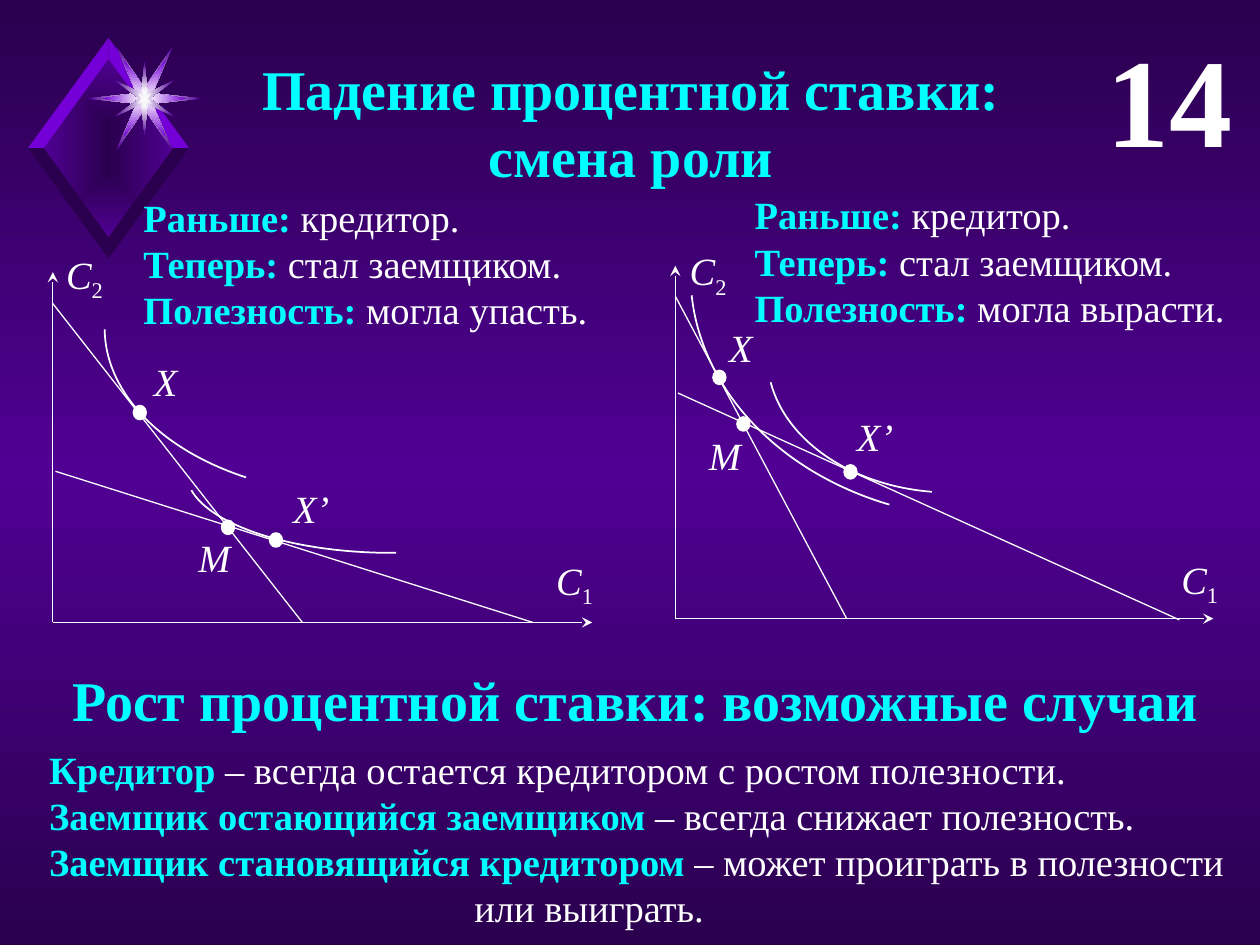
from lxml import etree
from pptx import Presentation
from pptx.dml.color import RGBColor
from pptx.enum.shapes import MSO_CONNECTOR as CONN, MSO_SHAPE as SHAPE
from pptx.enum.text import MSO_ANCHOR as ANCHOR, MSO_AUTO_SIZE as FIT, PP_ALIGN as ALIGN
from pptx.oxml import parse_xml
from pptx.oxml.ns import nsdecls, qn
from pptx.util import Pt

rgb = RGBColor.from_string
CYAN, WHITE = "00FFFF", "FFFFFF"
DARK, MID, BRIGHT = "2A004E", "500093", "7500D7"


def write(frame, paras, size, align=ALIGN.LEFT, inset=None):
    """Fill a frame; each paragraph lists (text, colour, style), style of b, i, _ (subscript)."""
    frame.word_wrap = True
    frame.auto_size = FIT.NONE
    frame.vertical_anchor = ANCHOR.TOP
    if inset is not None:
        frame.margin_left = frame.margin_right = Pt(inset)
        frame.margin_top = frame.margin_bottom = Pt(inset)
    for n, runs in enumerate(paras):
        para = frame.add_paragraph() if n else frame.paragraphs[0]
        para.alignment = align
        para.space_before = Pt(0)
        for words, hue, style in runs:
            run = para.add_run()
            run.text = words
            font = run.font
            font.name, font.size = "Times New Roman", Pt(size)
            font.color.rgb = rgb(hue)
            font.bold, font.italic = "b" in style, "i" in style
            if "_" in style:
                run._r.get_or_add_rPr().set("baseline", "-25000")


def blend(stops, shade):
    """Return a gradient fill element with evenly spaced stops."""
    step = 100000 // (len(stops) - 1)
    marks = "".join(f'<a:gs pos="{n * step}"><a:srgbClr val="{hue}"/></a:gs>'
                    for n, hue in enumerate(stops))
    return parse_xml(f'<a:gradFill {nsdecls("a")} rotWithShape="1">'
                     f"<a:gsLst>{marks}</a:gsLst>{shade}</a:gradFill>")


prs = Presentation()
prs.slide_width, prs.slide_height = Pt(720), Pt(540)
slide = prs.slides.add_slide(prs.slide_layouts[1])
shapes = slide.shapes

# Background
back = slide.background.fill
back.solid()
back.fore_color.rgb = rgb(DARK)
solid = slide._element.find(".//" + qn("a:solidFill"))
solid.getparent().replace(solid, blend([DARK, MID, DARK], '<a:lin ang="5400000" scaled="1"/>'))

# Diamond and star: centre, outline, fill stops
gem, spark = (62, 84.6), (82.6, 56.3)
parts = [(gem, [(0, -51), (-37.4, 0), (0, 51), (37.4, 0)], [DARK, MID])]
for sy, hue in [(-1, BRIGHT), (1, DARK)]:
    for sx in (1, -1):
        facet = [(0, sy * 51), (0, sy * 63), (sx * 46, 0), (sx * 37, 0)]
        parts.append((gem, facet, [hue]))
rays = [
    ([(0, -6), (16, -29.6), (4.6, -3), (32.6, 0)], [WHITE, MID]),
    ([(0, -6), (12, -22), (4.6, -3), (24, 0)], [WHITE, BRIGHT]),
    ([(0, -21), (1.8, -3), (17, -10.4), (3, 0)], [WHITE, MID]),
    ([(0, -5), (0.7, -1.5), (4, -3), (1.5, 0)], ["F9F9F9"]),
]
for arm, hues in rays:
    star = (arm + [(x, -y) for x, y in arm[-2::-1]]
            + [(-x, -y) for x, y in arm[1:]] + [(-x, y) for x, y in arm[-2:0:-1]])
    parts.append((spark, star, hues))
for (cx, cy), dots, hues in parts:
    ends = [(Pt(cx + x), Pt(cy + y)) for x, y in dots]
    pen = shapes.build_freeform(*ends[0], scale=1.0)
    pen.add_line_segments(ends[1:], close=True)
    part = pen.convert_to_shape()
    part.shadow.inherit = False
    part.line.fill.background()
    part.fill.solid()
    part.fill.fore_color.rgb = rgb(hues[0])
    if len(hues) > 1:
        solid = part._element.spPr.find(qn("a:solidFill"))
        centre = '<a:path path="rect"><a:fillToRect l="50000" t="50000" r="50000" b="50000"/></a:path>'
        part._element.spPr.replace(solid, blend(hues, centre))

# Title and number
title = shapes.title
title.left, title.top, title.width, title.height = Pt(14.4), Pt(27.4), Pt(692.6), Pt(85)
write(title.text_frame, [[("Падение процентной ставки:", CYAN, "b")],
                         [("смена роли", CYAN, "b")]], 32, ALIGN.CENTER)
box = shapes.add_textbox(Pt(621.4), Pt(8.6), Pt(90), Pt(94.3))
write(box.text_frame, [[("14", WHITE, "b")]], 72, ALIGN.RIGHT)

# Diagrams: axes and budget lines (x1, y1, x2, y2), curves (box, angles),
# points (left, top), labels (text, subscript, left, top, width)
graphs = [
    dict(axes=[(30.2, 355.7, 30.2, 155.5), (30.2, 355.7, 338.4, 355.7)],
         lines=[(30.2, 173.5, 172.8, 355.7), (31.7, 269.3, 304.6, 355.7)],
         curves=[(106.6, 224.6, 234.7, 91.4, 86.9, 175.07),
                 (59.8, 92.2, 293.8, 190.8, 127.8, 179.78)],
         points=[(76.3, 231.8), (154.1, 304.6), (126.7, 297.4)],
         labels=[("С", "1", 307.4, 317.5, 41.8), ("С", "2", 31.7, 142.6, 33.1),
                 ("X", "", 74.2, 203.8, 41), ("М", "", 103, 304.6, 38.9),
                 ("X’", "", 159.1, 276.5, 37.4)],
         note=(74.9, 107.3), fate="могла упасть."),
    dict(axes=[(385.9, 353.9, 385.9, 151.9), (385.9, 353.5, 693.4, 353.5)],
         lines=[(385.9, 169.2, 483.8, 353.5), (387.4, 224.6, 673.9, 354.2)],
         curves=[(438.5, 126, 210.2, 155.5, 98.13, 171.88),
                 (394.6, 16.6, 344.2, 280.1, 113.95, 175.96)],
         points=[(421.2, 238.3), (482.4, 265.7), (407.5, 211.7)],
         labels=[("C", "1", 664.6, 316.8, 41.8), ("C", "2", 385.9, 140.4, 37.4),
                 ("X’", "", 479.5, 235.4, 41), ("M", "", 393.8, 246.2, 41),
                 ("X", "", 406.8, 184.3, 33.1)],
         note=(424.1, 105.8), fate="могла вырасти."),
]
for graph in graphs:
    for n, (x1, y1, x2, y2) in enumerate(graph["axes"] + graph["lines"]):
        line = shapes.add_connector(CONN.STRAIGHT, Pt(x1), Pt(y1), Pt(x2), Pt(y2))
        line.line.color.rgb, line.line.width = rgb(WHITE), Pt(0.75)
        if n < 2:
            etree.SubElement(line.line._get_or_add_ln(), qn("a:tailEnd"), type="stealth")
        etree.SubElement(line._element.spPr, qn("a:effectLst"))
    for x, y, w, h, start, stop in graph["curves"]:
        arc = shapes.add_shape(SHAPE.ARC, Pt(x), Pt(y), Pt(w), Pt(h))
        arc.adjustments[0], arc.adjustments[1] = start * 0.6, stop * 0.6
        arc.shadow.inherit = False
        arc.fill.background()
        arc.line.color.rgb, arc.line.width = rgb(WHITE), Pt(1)
    for x, y in graph["points"]:
        dot = shapes.add_shape(SHAPE.OVAL, Pt(x), Pt(y), Pt(7.2), Pt(7.9))
        dot.shadow.inherit = False
        dot.fill.solid()
        dot.fill.fore_color.rgb = rgb(WHITE)
        dot.line.color.rgb, dot.line.width = rgb(WHITE), Pt(1)
    for name, sub, x, y, w in graph["labels"]:
        box = shapes.add_textbox(Pt(x), Pt(y), Pt(w), Pt(28))
        runs = [(name, WHITE, "i")] + ([(sub, WHITE, "_")] if sub else [])
        write(box.text_frame, [runs], 22, ALIGN.CENTER, 0.7)
    x, y = graph["note"]
    box = shapes.add_textbox(Pt(x), Pt(y), Pt(286.6), Pt(87))
    facts = [("Раньше: ", "кредитор."), ("Теперь: ", "стал заемщиком."),
             ("Полезность: ", graph["fate"])]
    write(box.text_frame, [[(key, CYAN, "b"), (fact, WHITE, "")] for key, fact in facts], 22)

# Conclusions
box = shapes.add_textbox(Pt(17), Pt(376.6), Pt(692.6), Pt(46))
write(box.text_frame, [[("Рост процентной ставки: возможные случаи", CYAN, "b")]], 32, ALIGN.CENTER)
cases = [
    ("Кредитор ", "– всегда остается кредитором с ростом полезности."),
    ("Заемщик остающийся заемщиком ", "– всегда снижает полезность."),
    ("Заемщик становящийся кредитором ", "– может проиграть в полезности или выиграть."),
]
body = slide.placeholders[1]
body.left, body.top, body.width, body.height = Pt(20.9), Pt(422.6), Pt(690.5), Pt(113.8)
write(body.text_frame, [[(who, CYAN, "b"), (what, WHITE, "")] for who, what in cases], 22)
for para in body.text_frame.paragraphs:
    props = para._p.get_or_add_pPr()
    props.set("marL", str(Pt(243)))
    props.set("indent", str(-Pt(243)))
    etree.SubElement(props, qn("a:buNone"))

prs.save("out.pptx")
